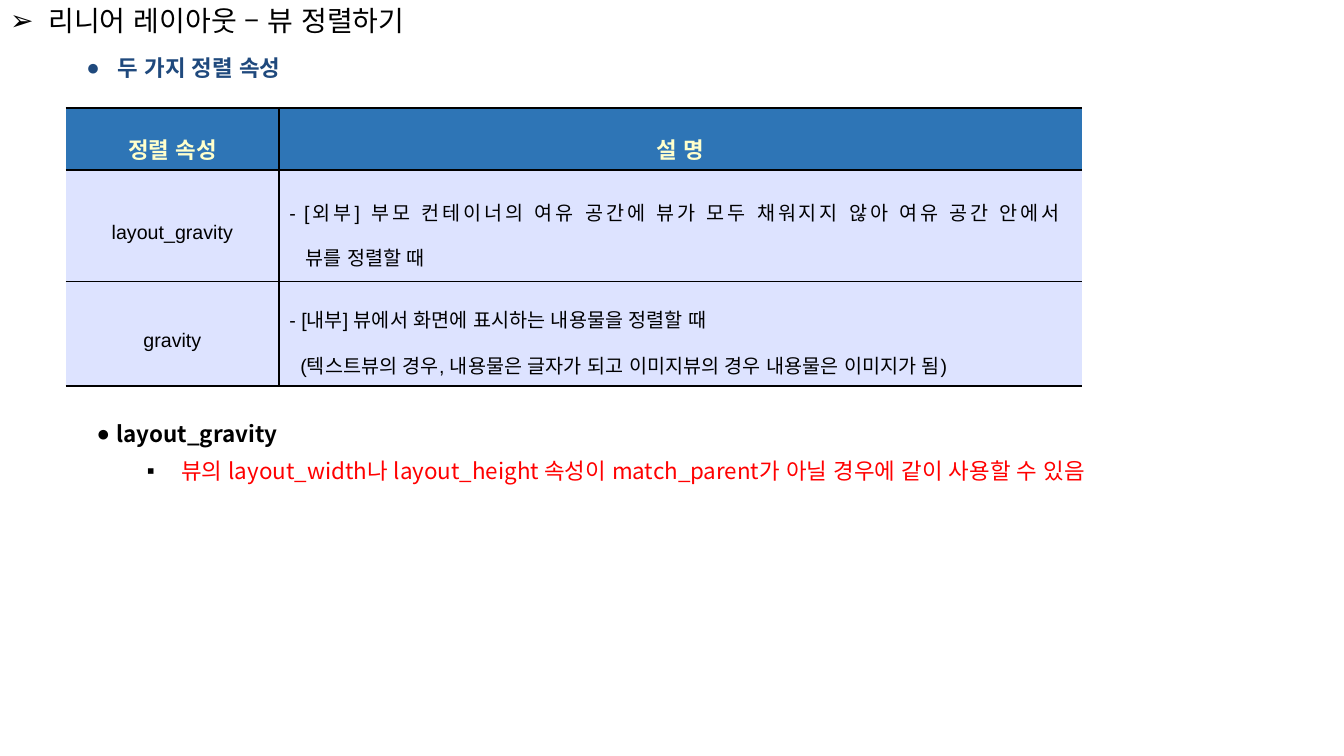
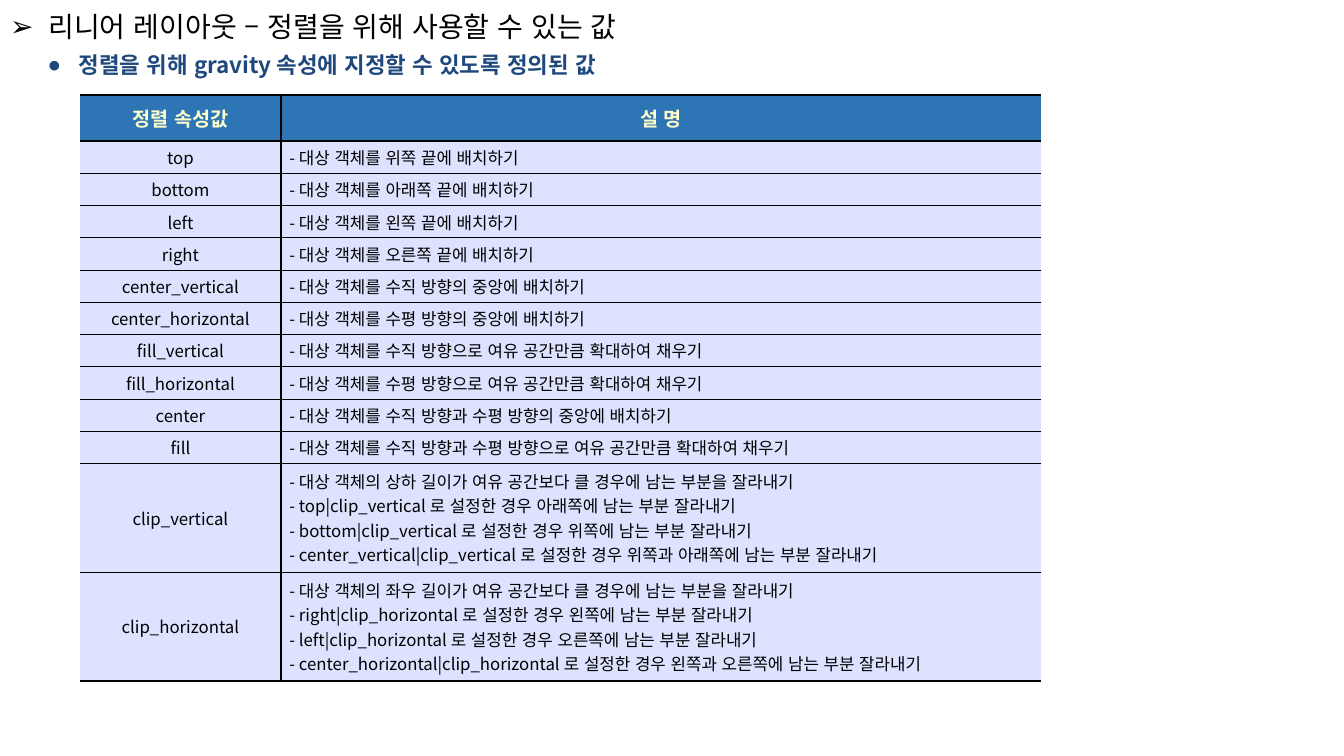
from dataclasses import dataclass

from lxml import etree
from pptx import Presentation
from pptx.dml.color import RGBColor
from pptx.enum import lang, text
from pptx.oxml import ns
from pptx.util import Inches, Pt


@dataclass(frozen=True)
class Theme:
    latin: str = "Arial"
    korean: str = "Noto Sans CJK KR"
    ink: str = "000000"
    heading: str = "1F497D"
    warning: str = "FF0000"
    header_fill: str = "2E75B6"
    header_ink: str = "FFFFCC"
    cell_fill: str = "DDE3FF"
    title_size: int = 20
    heading_size: int = 16
    thick: float = 1.7
    thin: float = 0.56


THEME = Theme()
ALIGN = text.PP_ALIGN

SLIDES = [
    {
        "title": ("리니어 레이아웃 – 뷰 정렬하기", (0, 0.02, 4.3, 0.4)),
        "heading": ("두 가지 정렬 속성", (0.42, 0.49, 2.8, 0.37)),
        "table": {
            "origin": (0.65, 1.07),
            "columns": (2.12, 7.96),
            "heights": (0.62, 1.1, 1.04),
            "header": ("정렬 속성", "설 명"),
            "rows": [
                ("layout_gravity", [
                    "- [외부] 부모 컨테이너의 여유 공간에 뷰가 모두 채워지지 않아 "
                    "여유 공간 안에서 \v뷰를 정렬할 때"]),
                ("gravity", [
                    "- [내부] 뷰에서 화면에 표시하는 내용물을 정렬할 때",
                    "(텍스트뷰의 경우, 내용물은 글자가 되고 이미지뷰의 경우 "
                    "내용물은 이미지가 됨)"]),
            ],
            "font": THEME.latin, "sizes": (16, 14), "spacing": 1.6,
            "margins": (0.1, 0.05), "header_anchor": text.MSO_ANCHOR.TOP,
        },
        "notes": {
            "box": (0.86, 4.07, 11.76, 2.2),
            "topic": "layout_gravity",
            "detail": "뷰의 layout_width나 layout_height 속성이 match_parent가 "
                      "아닐 경우에 같이 사용할 수 있음",
        },
    },
    {
        "title": ("리니어 레이아웃 – 정렬을 위해 사용할 수 있는 값", (0, 0.08, 6.89, 0.4)),
        "heading": ("정렬을 위해 gravity 속성에 지정할 수 있도록 정의된 값",
                    (0, 0.46, 6.38, 0.37)),
        "table": {
            "origin": (0.79, 0.94),
            "columns": (2, 7.53),
            "heights": (0.46, *[0.32] * 10, 1.08, 1.08),
            "header": ("정렬 속성값", "설 명"),
            "rows": [
                ("top", ["- 대상 객체를 위쪽 끝에 배치하기"]),
                ("bottom", ["- 대상 객체를 아래쪽 끝에 배치하기"]),
                ("left", ["- 대상 객체를 왼쪽 끝에 배치하기"]),
                ("right", ["- 대상 객체를 오른쪽 끝에 배치하기"]),
                ("center_vertical", ["- 대상 객체를 수직 방향의 중앙에 배치하기"]),
                ("center_horizontal", ["- 대상 객체를 수평 방향의 중앙에 배치하기"]),
                ("fill_vertical", ["- 대상 객체를 수직 방향으로 여유 공간만큼 확대하여 채우기"]),
                ("fill_horizontal", ["- 대상 객체를 수평 방향으로 여유 공간만큼 확대하여 채우기"]),
                ("center", ["- 대상 객체를 수직 방향과 수평 방향의 중앙에 배치하기"]),
                ("fill", ["- 대상 객체를 수직 방향과 수평 방향으로 여유 공간만큼 확대하여 채우기"]),
                ("clip_vertical", [
                    "- 대상 객체의 상하 길이가 여유 공간보다 클 경우에 남는 부분을 잘라내기",
                    "- top|clip_vertical 로 설정한 경우 아래쪽에 남는 부분 잘라내기",
                    "- bottom|clip_vertical 로 설정한 경우 위쪽에 남는 부분 잘라내기",
                    "- center_vertical|clip_vertical 로 설정한 경우 위쪽과 아래쪽에 남는 부분 잘라내기"]),
                ("clip_horizontal", [
                    "- 대상 객체의 좌우 길이가 여유 공간보다 클 경우에 남는 부분을 잘라내기",
                    "- right|clip_horizontal 로 설정한 경우 왼쪽에 남는 부분 잘라내기",
                    "- left|clip_horizontal 로 설정한 경우 오른쪽에 남는 부분 잘라내기",
                    "- center_horizontal|clip_horizontal 로 설정한 경우 왼쪽과 오른쪽에 남는 부분 잘라내기"]),
            ],
            "font": THEME.korean, "sizes": (14, 12), "spacing": 1.0,
            "margins": (0.08, 0.04), "header_anchor": text.MSO_ANCHOR.MIDDLE,
        },
    },
]


def add_child(parent, tag, **attributes):
    return etree.SubElement(parent, ns.qn(tag), attributes)


def indent(paragraph, left, first):
    properties = paragraph._p.get_or_add_pPr()
    properties.set("marL", str(Inches(left)))
    properties.set("indent", str(Inches(first)))
    return properties


def add_bullet(paragraph, mark, left, hang, size=None, color=None):
    properties = indent(paragraph, left, -hang)
    if color:
        add_child(add_child(properties, "a:buClr"), "a:srgbClr", val=color)
    if size:
        add_child(properties, "a:buSzPts", val=str(size * 100))
    add_child(properties, "a:buFont", typeface=THEME.latin)
    add_child(properties, "a:buChar", char=mark)


def style(paragraph, size, color, bold=False, font=THEME.korean,
          align=ALIGN.LEFT, spacing=1.0):
    paragraph.alignment = align
    paragraph.line_spacing = spacing
    face = paragraph.font
    face.size, face.bold, face.name = Pt(size), bold, font
    face.language_id = lang.MSO_LANGUAGE_ID.KOREAN
    face.color.rgb = RGBColor.from_string(color)
    add_child(face._element, "a:ea", typeface=THEME.korean)


def set_borders(cell, left, right, top, bottom):
    """Draw each side at its width in points; 0 leaves the side open."""
    properties = cell._tc.get_or_add_tcPr()
    sides = zip(("a:lnL", "a:lnR", "a:lnT", "a:lnB"), (left, right, top, bottom))
    for position, (tag, width) in enumerate(sides):
        line = etree.Element(ns.qn(tag), w=str(Pt(width)))
        if width:
            add_child(add_child(line, "a:solidFill"), "a:srgbClr", val=THEME.ink)
        else:
            add_child(line, "a:noFill")
        properties.insert(position, line)


def add_text_box(slide, box):
    frame = slide.shapes.add_textbox(*map(Inches, box)).text_frame
    frame.word_wrap = True
    return frame


def add_title(slide, wording, box):
    title = slide.shapes.title
    title.left, title.top, title.width, title.height = map(Inches, box)
    frame = title.text_frame
    frame.text = wording
    frame.auto_size = text.MSO_AUTO_SIZE.NONE
    frame.vertical_anchor = text.MSO_ANCHOR.MIDDLE
    add_bullet(frame.paragraphs[0], "➢", 0.38, 0.38)
    style(frame.paragraphs[0], THEME.title_size, THEME.ink, spacing=0.9)


def add_heading(slide, wording, box):
    frame = add_text_box(slide, box)
    frame.auto_size = text.MSO_AUTO_SIZE.SHAPE_TO_FIT_TEXT
    heading = frame.paragraphs[0]
    heading.text = wording
    add_bullet(heading, "●", 0.31, 0.31)
    style(heading, THEME.heading_size, THEME.heading, True, align=ALIGN.CENTER)


def fill_cell(cell, lines, table, is_header, is_label):
    cell.margin_left = cell.margin_right = Inches(table["margins"][0])
    cell.margin_top = cell.margin_bottom = Inches(table["margins"][1])
    cell.vertical_anchor = (table["header_anchor"] if is_header
                            else text.MSO_ANCHOR.MIDDLE)
    cell.fill.solid()
    cell.fill.fore_color.rgb = RGBColor.from_string(
        THEME.header_fill if is_header else THEME.cell_fill)
    cell.text_frame.text = "\n".join(lines)
    for line, paragraph in zip(lines, cell.text_frame.paragraphs):
        if "\v" in line:
            indent(paragraph, 0.16, -0.16)
        elif line.startswith("("):
            indent(paragraph, 0.11, 0)
        style(paragraph, table["sizes"][0 if is_header else 1],
              THEME.header_ink if is_header else THEME.ink, is_header,
              table["font"],
              ALIGN.CENTER if is_header or is_label else ALIGN.JUSTIFY,
              table["spacing"])


def add_property_table(slide, table):
    columns, heights = table["columns"], table["heights"]
    extent = (*table["origin"], sum(columns), sum(heights))
    grid = slide.shapes.add_table(len(heights), len(columns),
                                  *map(Inches, extent)).table
    grid.first_row = grid.horz_banding = False
    for column, width in zip(grid.columns, columns):
        column.width = Inches(width)
    for row, height in zip(grid.rows, heights):
        row.height = Inches(height)

    label, description = table["header"]
    last = len(heights) - 1
    for r, entry in enumerate([(label, [description]), *table["rows"]]):
        top = THEME.thick if r <= 1 else THEME.thin
        bottom = THEME.thick if r in (0, last) else THEME.thin
        for c, lines in enumerate(([entry[0]], entry[1])):
            cell = grid.cell(r, c)
            fill_cell(cell, lines, table, r == 0, c == 0)
            set_borders(cell, THEME.thick * c, THEME.thick * (1 - c), top, bottom)


def add_notes(slide, box, topic, detail):
    frame = add_text_box(slide, box)
    frame.text = f"{topic}\n{detail}"
    first, second = frame.paragraphs
    add_bullet(first, "●", 0.2, 0.2)
    style(first, THEME.heading_size, THEME.ink, True, spacing=1.2)
    first.space_after = Pt(3)
    second.level = 1
    add_bullet(second, "▪", 0.84, 0.34, size=7, color=THEME.ink)
    style(second, THEME.heading_size, THEME.warning, spacing=1.2)


def main():
    deck = Presentation()
    deck.slide_width, deck.slide_height = Inches(13.33), Inches(7.5)
    for content in SLIDES:
        slide = deck.slides.add_slide(deck.slide_layouts.get_by_name("Title Only"))
        add_title(slide, *content["title"])
        add_heading(slide, *content["heading"])
        add_property_table(slide, content["table"])
        if "notes" in content:
            add_notes(slide, **content["notes"])
    deck.save("out.pptx")


if __name__ == "__main__":
    main()
